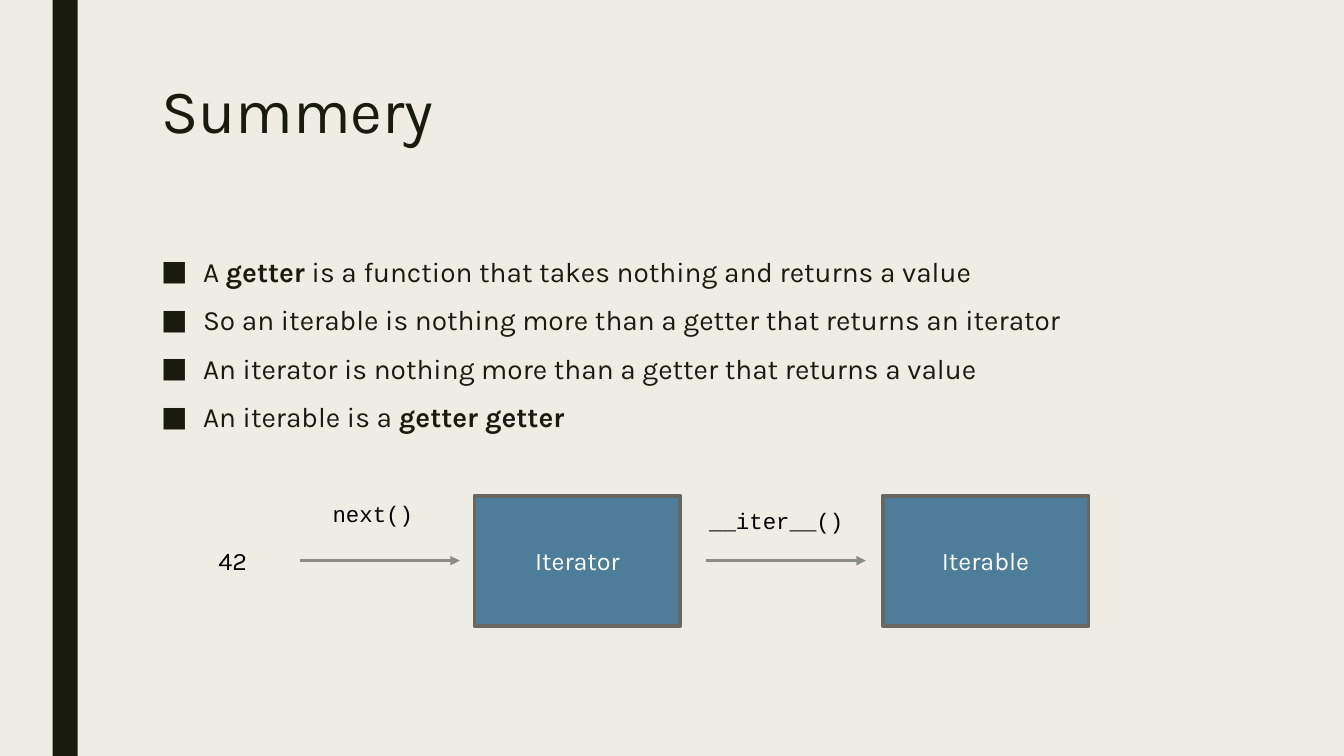
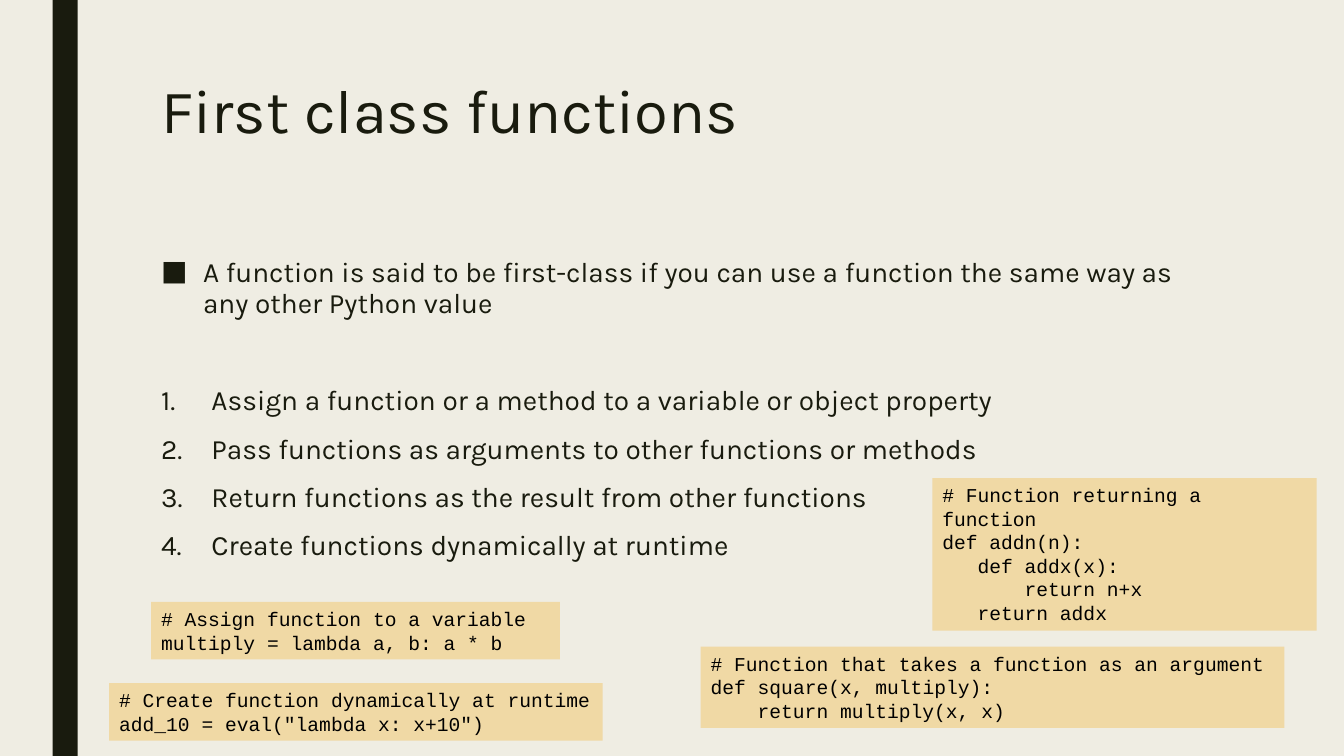
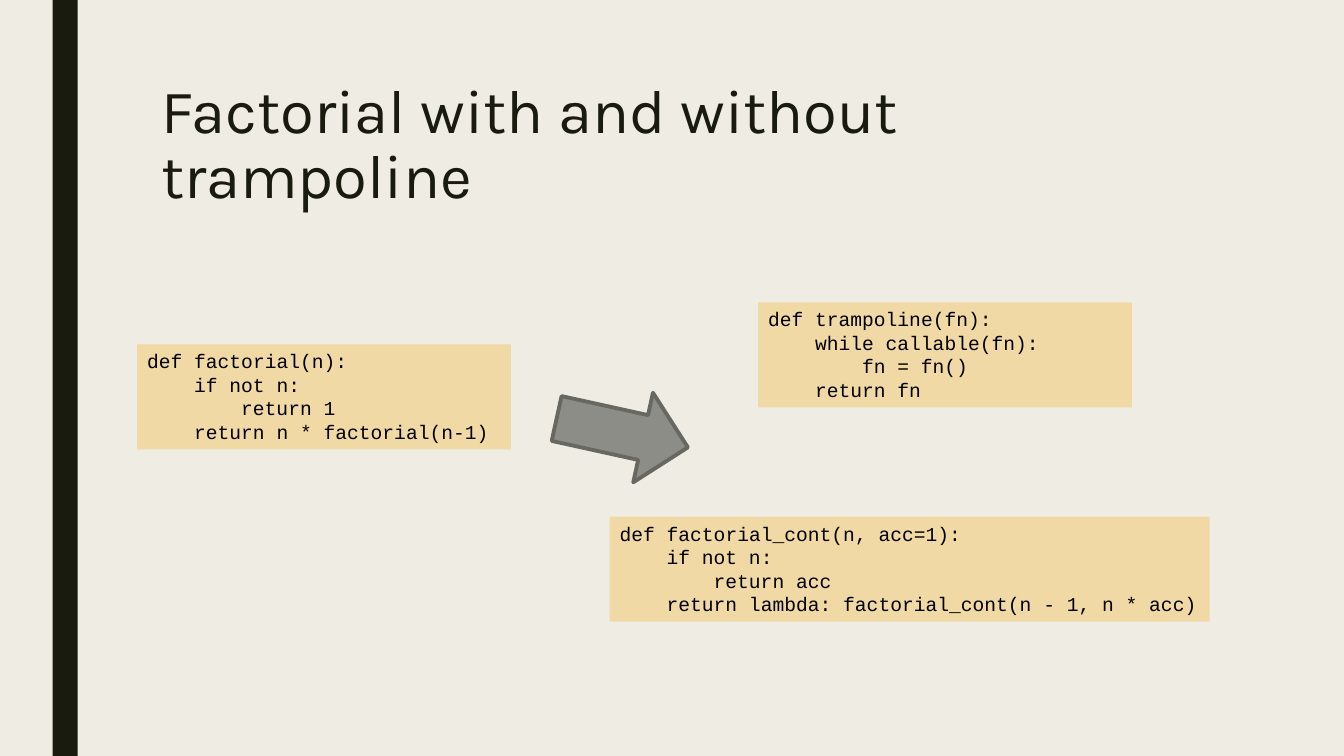
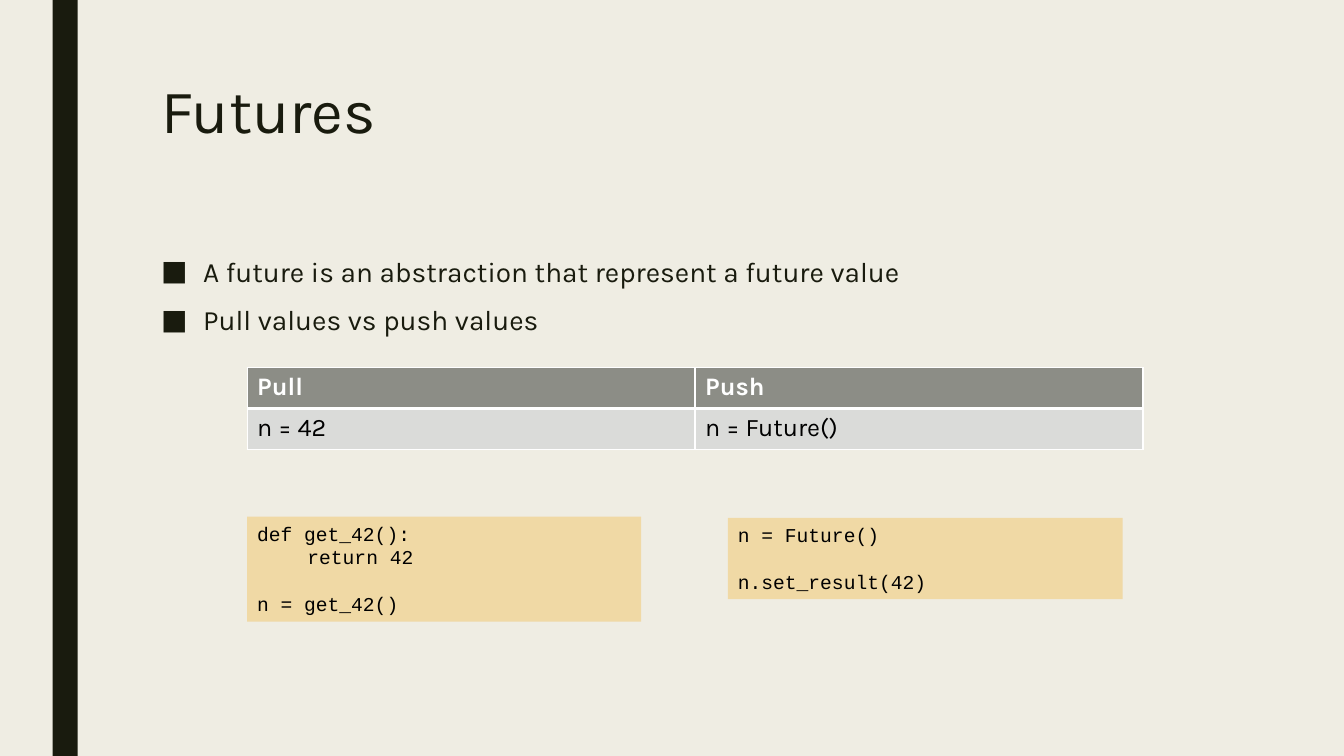
from dataclasses import dataclass

from lxml.etree import SubElement
from pptx import Presentation
from pptx.dml.color import RGBColor
from pptx.enum.shapes import MSO_CONNECTOR as Connector, MSO_SHAPE as Shape
from pptx.enum.text import MSO_ANCHOR as Anchor, PP_ALIGN as Align
from pptx.oxml.ns import qn
from pptx.util import Pt


@dataclass(frozen=True)
class Theme:
    # Colours
    paper: str = "EFEDE3"
    ink: str = "191B0E"
    black: str = "000000"
    white: str = "FFFFFF"
    blue: str = "4D7D99"
    grey: str = "8C8D86"
    outline: str = "686863"
    pale_grey: str = "DADBD9"
    sand: str = "F0D9A5"
    # Fonts and type sizes
    font: str = "Karla"
    code_font: str = "Courier New"
    title_size: int = 44
    body_size: int = 20
    text_size: int = 18
    call_size: int = 16
    code_size: int = 14
    # Spacing
    title_spacing: float = 0.89
    body_spacing: float = 0.94
    code_character: float = 8.4
    code_line: float = 16.8


def colour(value):
    return RGBColor.from_string(value)


class Deck:
    def __init__(self, theme):
        self.theme = theme
        self.presentation = Presentation()
        self.presentation.slide_width = Pt(960)
        self.presentation.slide_height = Pt(540)
        background = self.presentation.slide_master.background.fill
        background.solid()
        background.fore_color.rgb = colour(theme.paper)
        self.slide = None

    def new_slide(self, title):
        """Start a slide with the side band and a title."""
        theme = self.theme
        self.slide = self.presentation.slides.add_slide(
            self.presentation.slide_layouts[6])
        self.shape(Shape.RECTANGLE, 37.5, 0, 18, 540, theme.ink)
        frame = self.text_box(108, 54, 756, 117)
        frame.text = title
        frame.paragraphs[0].line_spacing = theme.title_spacing
        self.format(frame.paragraphs[0], theme.title_size, theme.ink)

    def format(self, paragraph, size, ink, name=None):
        for run in paragraph.runs:
            run.font.name = name or self.theme.font
            run.font.size = Pt(size)
            run.font.color.rgb = colour(ink)

    def text_box(self, left, top, width, height, wrap=True):
        frame = self.slide.shapes.add_textbox(
            Pt(left), Pt(top), Pt(width), Pt(height)).text_frame
        frame.word_wrap = wrap
        return frame

    def shape(self, kind, left, top, width, height, fill, outline=None):
        shape = self.slide.shapes.add_shape(
            kind, Pt(left), Pt(top), Pt(width), Pt(height))
        shape.shadow.inherit = False
        shape.fill.solid()
        shape.fill.fore_color.rgb = colour(fill)
        if outline:
            shape.line.color.rgb = colour(outline)
            shape.line.width = Pt(2.75)
        else:
            shape.line.fill.background()
        return shape

    def box(self, text, left, top, width, height):
        theme = self.theme
        frame = self.shape(Shape.RECTANGLE, left, top, width, height,
                           theme.blue, theme.outline).text_frame
        frame.text = text
        frame.vertical_anchor = Anchor.MIDDLE
        frame.paragraphs[0].alignment = Align.CENTER
        self.format(frame.paragraphs[0], theme.text_size, theme.white)

    def label(self, text, left, top, width, height, size, name=None):
        frame = self.text_box(left, top, width, height, wrap=False)
        frame.text = text
        self.format(frame.paragraphs[0], size, self.theme.black, name)

    def arrow(self, left, right, y):
        connector = self.slide.shapes.add_connector(
            Connector.STRAIGHT, Pt(left), Pt(y), Pt(right), Pt(y))
        connector.line.color.rgb = colour(self.theme.grey)
        connector.line.width = Pt(2.25)
        properties = connector.element.spPr
        SubElement(properties.find(qn("a:ln")), qn("a:tailEnd"), type="triangle")
        SubElement(properties, qn("a:effectLst"))

    def body(self, bullets, numbered=()):
        """Bulleted lines, then numbered ones; ** switches bold on and off."""
        theme = self.theme
        frame = self.text_box(108, 180, 756, 282)
        for index, text in enumerate([*bullets, *numbered]):
            paragraph = frame.paragraphs[0] if index == 0 else frame.add_paragraph()
            for part, words in enumerate(text.split("**")):
                if words:
                    run = paragraph.add_run()
                    run.text = words
                    run.font.bold = part % 2 == 1
            self.format(paragraph, theme.body_size, theme.ink)
            paragraph.line_spacing = theme.body_spacing
            paragraph.space_before = Pt(44.6 if index == len(bullets) else 10)
            paragraph.space_after = Pt(2)
            is_bullet = index < len(bullets)
            indent = Pt(30 if is_bullet else 36)
            properties = paragraph._p.get_or_add_pPr()
            properties.set("marL", str(indent))
            properties.set("indent", str(-indent))
            SubElement(properties, qn("a:buFont"), typeface=theme.font)
            if is_bullet:
                SubElement(properties, qn("a:buChar"), char="■")
            else:
                SubElement(properties, qn("a:buAutoNum"), type="arabicPeriod")

    def code(self, source, left, top, width, height):
        """A code panel: leading spaces become indents, empty lines become gaps."""
        theme = self.theme
        frame = self.shape(Shape.RECTANGLE, left, top, width, height,
                           theme.sand).text_frame
        frame.vertical_anchor = Anchor.TOP
        gap = 0
        for index, line in enumerate(source.split("\n")):
            if not line:
                gap += theme.code_line
                continue
            text = line.lstrip(" ")
            paragraph = frame.paragraphs[0] if index == 0 else frame.add_paragraph()
            paragraph.text = text
            paragraph.alignment = Align.LEFT
            paragraph.space_before = Pt(gap)
            indent = Pt((len(line) - len(text)) * theme.code_character)
            paragraph._p.get_or_add_pPr().set("marL", str(indent))
            self.format(paragraph, theme.code_size, theme.black, theme.code_font)
            gap = 0

    def table(self, rows, left, top, column_width, row_height):
        theme = self.theme
        columns = len(rows[0])
        table = self.slide.shapes.add_table(
            len(rows), columns, Pt(left), Pt(top),
            Pt(column_width * columns), Pt(row_height * len(rows))).table
        for row, texts in enumerate(rows):
            is_header = row == 0
            table.rows[row].height = Pt(row_height)
            for column, text in enumerate(texts):
                cell = table.cell(row, column)
                cell.text_frame.text = text
                paragraph = cell.text_frame.paragraphs[0]
                self.format(paragraph, theme.text_size,
                            theme.white if is_header else theme.black)
                paragraph.runs[0].font.bold = is_header
                self.borders(cell, top=1 if is_header else 3,
                             bottom=3 if is_header else 1)
                cell.fill.solid()
                cell.fill.fore_color.rgb = colour(
                    theme.grey if is_header else theme.pale_grey)

    def borders(self, cell, top, bottom):
        properties = cell._tc.get_or_add_tcPr()
        for side, width in (("L", 1), ("R", 1), ("T", top), ("B", bottom)):
            line = SubElement(properties, qn(f"a:ln{side}"), w=str(Pt(width)))
            fill = SubElement(line, qn("a:solidFill"))
            SubElement(fill, qn("a:srgbClr"), val=self.theme.white)


theme = Theme()
deck = Deck(theme)

# Slide 1: getters, with the iterator diagram
deck.new_slide("Summery")
deck.body([
    "A **getter** is a function that takes nothing and returns a value",
    "So an iterable is nothing more than a getter that returns an iterator",
    "An iterator is nothing more than a getter that returns a value",
    "An iterable is a **getter getter**",
])
for name, left in (("Iterator", 339), ("Iterable", 630.5)):
    deck.box(name, left, 354, 147, 93)
for left in (214, 504):
    deck.arrow(left, left + 114.5, 400.5)
deck.label("next()", 230.5, 354, 72.5, 26.5, theme.call_size, theme.code_font)
deck.label("__iter__()", 499.5, 358.5, 111.5, 26.5, theme.call_size, theme.code_font)
deck.label("42", 149, 386, 36, 29, theme.text_size)

# Slide 2: first-class functions, with an example of each use
deck.new_slide("First class functions")
deck.body(
    ["A function is said to be first-class if you can use a function "
     "the same way as any other Python value"],
    ["Assign a function or a method to a variable or object property",
     "Pass functions as arguments to other functions or methods",
     "Return functions as the result from other functions",
     "Create functions dynamically at runtime"])
deck.code("""# Assign function to a variable
multiply = lambda a, b: a * b""", 108, 430, 292, 41)
deck.code("""# Function that takes a function as an argument
def square(x, multiply):
    return multiply(x, x)""", 500.5, 462, 417, 58)
deck.code("""# Function returning a function
def addn(n):
   def addx(x):
       return n+x
   return addx""", 666, 341.5, 274.5, 109)
deck.code("""# Create function dynamically at runtime
add_10 = eval("lambda x: x+10")""", 78, 488, 352.5, 41)

# Slide 3: recursion rewritten with a trampoline
deck.new_slide("Factorial with and without trampoline")
deck.code("""def factorial(n):
    if not n:
        return 1
    return n * factorial(n-1)""", 98, 246, 267, 75)
deck.code("""def trampoline(fn):
    while callable(fn):
        fn = fn()
    return fn""", 541.5, 216, 267, 75)
deck.code("""def factorial_cont(n, acc=1):
    if not n:
        return acc
    return lambda: factorial_cont(n - 1, n * acc)""", 435.5, 369, 428.5, 75)
block_arrow = deck.shape(Shape.RIGHT_ARROW, 396.5, 276.5, 96, 65.5,
                         theme.grey, theme.outline)
block_arrow.rotation = 12.4

# Slide 4: pull and push values compared
deck.new_slide("Futures")
deck.body(["A future is an abstraction that represent a future value",
           "Pull values vs push values"])
deck.table([("Pull", "Push"), ("n = 42", "n = Future()")], 176.5, 262.5, 320, 29.2)
deck.code("""def get_42():
\treturn 42

n = get_42()""", 176.5, 369, 281.5, 75)
deck.code("""n = Future()

n.set_result(42)""", 520, 370, 282, 58)

deck.presentation.save("out.pptx")
